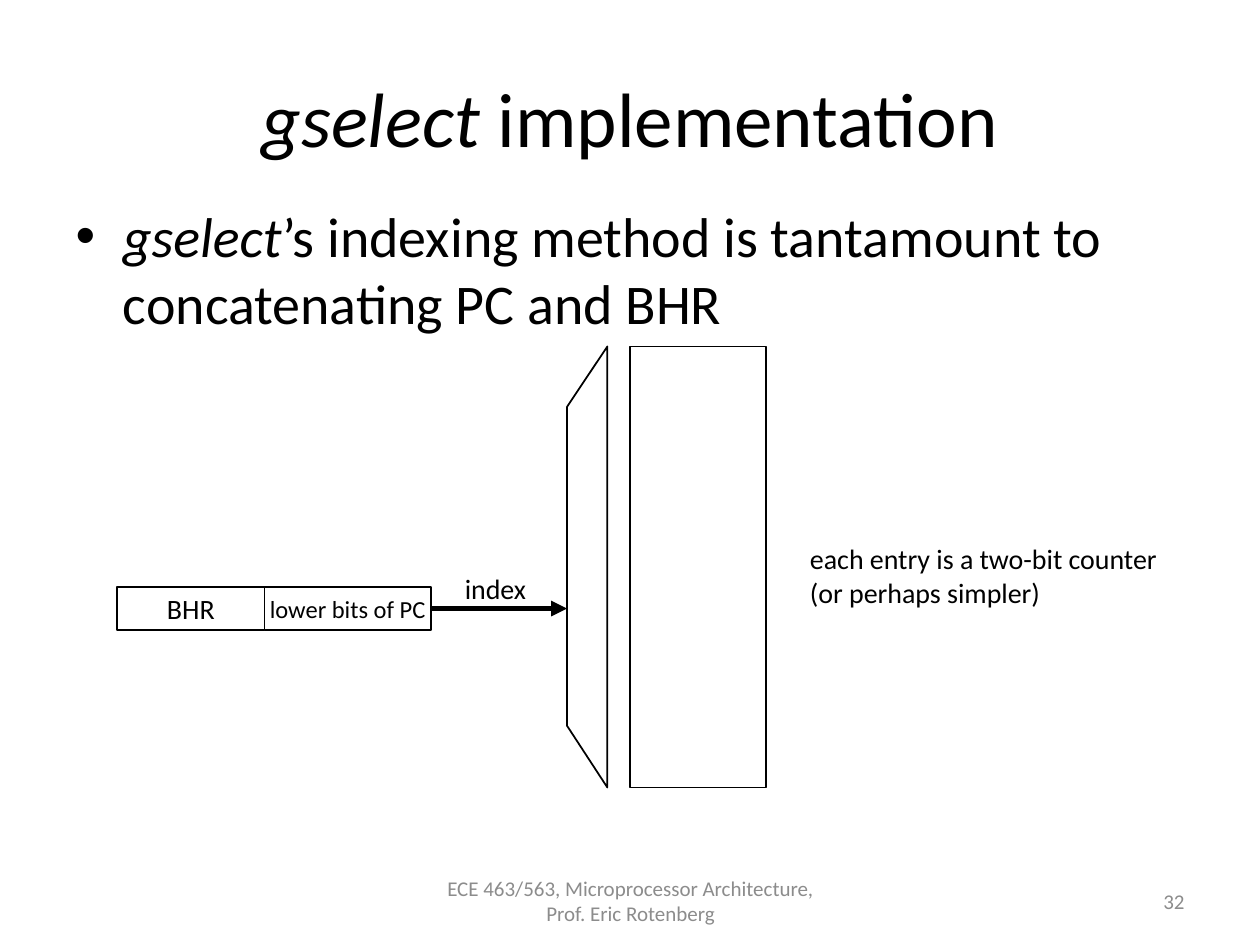
import pptx
import pptx.util
import pptx.dml.color
import pptx.enum.shapes
import pptx.enum.text
import pptx.oxml.ns
import lxml.etree
from pptx.util import Inches

BLACK = pptx.dml.color.RGBColor(0x00, 0x00, 0x00)
WHITE = pptx.dml.color.RGBColor(0xFF, 0xFF, 0xFF)
GRAY = pptx.dml.color.RGBColor(0x8C, 0x8C, 0x8C)
LEFT = pptx.enum.text.PP_ALIGN.LEFT
CENTER = pptx.enum.text.PP_ALIGN.CENTER
RIGHT = pptx.enum.text.PP_ALIGN.RIGHT
TOP = pptx.enum.text.MSO_ANCHOR.TOP
MIDDLE = pptx.enum.text.MSO_ANCHOR.MIDDLE


def format_text(shape, size, color, alignment, anchor):
    shape.text_frame.vertical_anchor = anchor
    for paragraph in shape.text_frame.paragraphs:
        paragraph.alignment = alignment
        for run in paragraph.runs:
            run.font.name = "Calibri"
            run.font.size = pptx.util.Pt(size)
            run.font.color.rgb = color


def outline(shape):
    shape.shadow.inherit = False
    shape.fill.solid()
    shape.fill.fore_color.rgb = WHITE
    shape.line.color.rgb = BLACK
    shape.line.width = pptx.util.Pt(1)


presentation = pptx.Presentation()
presentation.slide_width = Inches(10)
presentation.slide_height = Inches(7.5)
slide = presentation.slides.add_slide(presentation.slide_layouts[1])

title, body = slide.placeholders
for shape, top, height, rest, size, alignment, anchor in (
    (title, 0.3, 1.25, " implementation", 44, CENTER, MIDDLE),
    (body, 1.55, 5.15, "’s indexing method is tantamount to concatenating PC and BHR", 32, LEFT, TOP),
):
    shape.left, shape.top = Inches(0.5), Inches(top)
    shape.width, shape.height = Inches(9), Inches(height)
    paragraph = shape.text_frame.paragraphs[0]
    paragraph.text = "gselect"
    paragraph.runs[0].font.italic = True
    paragraph.add_run().text = rest
    format_text(shape, size, BLACK, alignment, anchor)

decoder_builder = slide.shapes.build_freeform(Inches(4.82), Inches(2.75))
decoder_builder.add_line_segments(
    [(Inches(x), Inches(y)) for x, y in ((4.5, 3.23), (4.5, 5.76), (4.82, 6.25))], close=True
)
outline(decoder_builder.convert_to_shape())

boxes = {}
for name, left, top, width, height, size in (
    ("", 5, 2.75, 1.08, 3.5, 16),
    ("lower bits of PC", 2.1, 4.66, 1.32, 0.34, 14),
    ("BHR", 0.93, 4.66, 1.17, 0.34, 16),
):
    box = slide.shapes.add_shape(
        pptx.enum.shapes.MSO_SHAPE.RECTANGLE, Inches(left), Inches(top), Inches(width), Inches(height)
    )
    outline(box)
    if name:
        box.text_frame.text = name
        box.text_frame.word_wrap = False
        format_text(box, size, BLACK, CENTER, MIDDLE)
    boxes[name] = box

for text, left, top, width, height, size, color, alignment, anchor, wrap in (
    ("each entry is a two-bit counter\n(or perhaps simpler)", 6.33, 4.25, 2.99, 0.64, 16, BLACK, LEFT, TOP, False),
    ("index", 3.59, 4.49, 0.69, 0.37, 16, BLACK, LEFT, TOP, False),
    ("ECE 463/563, Microprocessor Architecture, Prof. Eric Rotenberg",
     3.42, 6.95, 3.17, 0.4, 12, GRAY, CENTER, MIDDLE, True),
    ("32", 7.17, 6.95, 2.33, 0.4, 12, GRAY, RIGHT, MIDDLE, True),
):
    label = slide.shapes.add_textbox(Inches(left), Inches(top), Inches(width), Inches(height))
    label.text_frame.text = text
    label.text_frame.word_wrap = wrap
    format_text(label, size, color, alignment, anchor)

index_arrow = slide.shapes.add_connector(
    pptx.enum.shapes.MSO_CONNECTOR.STRAIGHT, Inches(3.42), Inches(4.83), Inches(4.5), Inches(4.83)
)
index_arrow.begin_connect(boxes["lower bits of PC"], 3)
index_arrow.line.color.rgb = BLACK
index_arrow.line.width = pptx.util.Pt(3)
line_properties = index_arrow.line._get_or_add_ln()
lxml.etree.SubElement(line_properties, pptx.oxml.ns.qn("a:tailEnd"), type="triangle")
lxml.etree.SubElement(index_arrow._element.spPr, pptx.oxml.ns.qn("a:effectLst"))

presentation.save("out.pptx")
